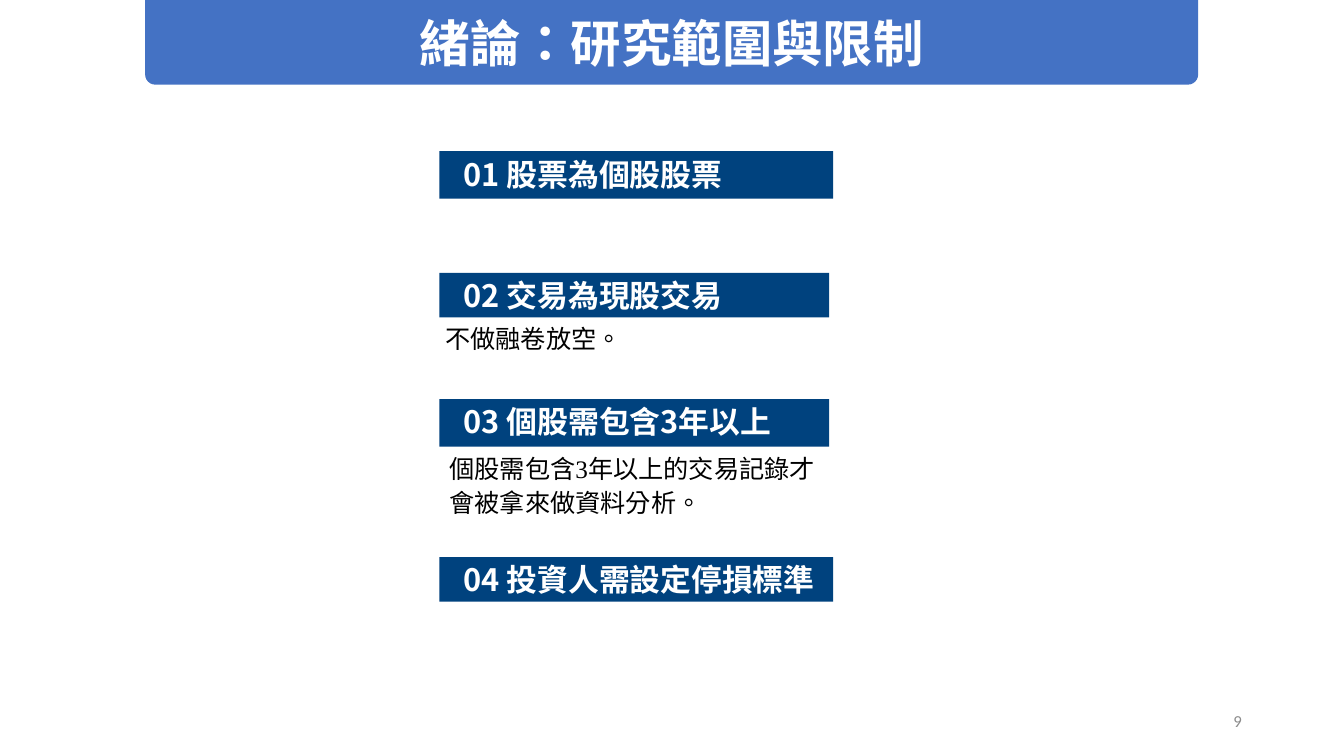
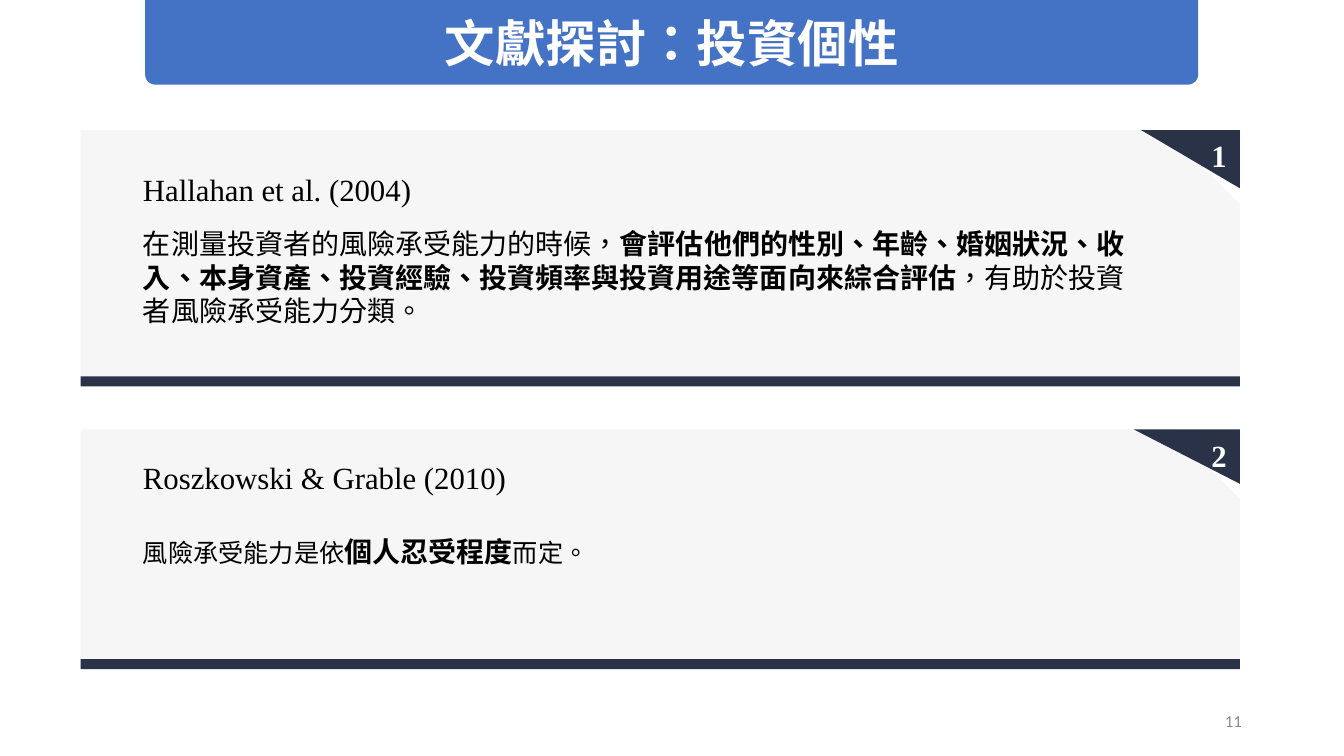
from dataclasses import dataclass

from lxml.etree import SubElement
from pptx import Presentation
from pptx.dml.color import RGBColor
from pptx.enum.lang import MSO_LANGUAGE_ID
from pptx.enum.shapes import MSO_SHAPE
from pptx.enum.text import MSO_ANCHOR, MSO_AUTO_SIZE, PP_ALIGN
from pptx.oxml.ns import qn
from pptx.shapes.autoshape import Shape
from pptx.slide import Slide
from pptx.text.text import Font
from pptx.util import Emu, Inches, Pt

SLIDE_WIDTH, SLIDE_HEIGHT = Inches(13.333), Inches(7.5)
TITLE_BLUE, HEADING_BLUE, NAVY = "4472C4", "00427E", "293247"
PALE, GREY, WHITE, BLACK = "F6F6F6", "8C8C8C", "FFFFFF", "000000"
SANS, SERIF, NUMBER_FONT = "Noto Sans CJK SC", "Times New Roman", "Calibri"


@dataclass(frozen=True)
class Box:
    """A rectangle in percent of the slide's width and height."""
    left: float
    top: float
    width: float
    height: float

    def emu(self) -> tuple[Emu, Emu, Emu, Emu]:
        return (across(self.left), down(self.top),
                across(self.width), down(self.height))


@dataclass(frozen=True)
class TextStyle:
    size: float
    color: str = BLACK
    font: str = SERIF
    bold: bool = False
    align: PP_ALIGN = PP_ALIGN.LEFT
    anchor: MSO_ANCHOR = MSO_ANCHOR.TOP
    line_spacing: float = 1.0


@dataclass(frozen=True)
class Phrase:
    text: str
    size: float
    bold: bool = False


@dataclass(frozen=True)
class Limit:
    heading: str
    box: Box
    note: str = ""
    note_left: float = 32.7
    note_lines: int = 1


@dataclass(frozen=True)
class Study:
    number: str
    source: str
    phrases: tuple[Phrase, ...]
    top: float
    height: float
    source_offset: float
    body_offset: float
    corner_width: float
    corner_height: float


TITLE_BOX = Box(10.8, 0, 78.35, 11.2)
PAGE_BOX = Box(70.65, 92.7, 22.5, 5.3)
CARD_LEFT, CARD_WIDTH, STRIP_HEIGHT = 6, 86.25, 1.3
CARD_TEXT_LEFT, CARD_TEXT_WIDTH = 9.9, 76.4
HEADING_LEFT, NOTE_WIDTH, NOTE_LINE_HEIGHT, NOTE_OVERLAP = 32.7, 29, 5.2, 0.4

TITLE_STYLE = TextStyle(36, WHITE, SANS, True, PP_ALIGN.CENTER, MSO_ANCHOR.MIDDLE)
PAGE_STYLE = TextStyle(12, GREY, NUMBER_FONT, False, PP_ALIGN.RIGHT, MSO_ANCHOR.MIDDLE)
HEADING_STYLE = TextStyle(22, WHITE, SANS, True)
NOTE_STYLE = TextStyle(18, line_spacing=1.14)
SOURCE_STYLE = TextStyle(22)
BODY_STYLE = TextStyle(20)
CORNER_STYLE = TextStyle(22, WHITE, bold=True, align=PP_ALIGN.RIGHT)

LIMITS = (
    Limit("01 股票為個股股票", Box(HEADING_LEFT, 20, 29.3, 6.3)),
    Limit("02 交易為現股交易", Box(HEADING_LEFT, 36.1, 29, 5.9),
          "不做融卷放空。", note_left=32.4),
    Limit("03 個股需包含3年以上", Box(HEADING_LEFT, 52.8, 29, 6.3),
          "個股需包含3年以上的交易記錄才會被拿來做資料分析。", note_lines=2),
    Limit("04 投資人需設定停損標準", Box(HEADING_LEFT, 73.7, 29.3, 5.9)),
)

STUDIES = (
    Study("1", "Hallahan et al. (2004)", (
        Phrase("在測量投資者的風險承受能力的時候，", 20),
        Phrase("會評估他們的性別、年齡、婚姻狀況、收入、本身資產、投資經驗、"
               "投資頻率與投資用途等面向來綜合評估", 20, True),
        Phrase("，有助於投資者風險承受能力分類。", 20),
    ), 17.2, 33.9, 4.7, 12.1, 7.35, 7.7),
    Study("2", "Roszkowski & Grable (2010)", (
        Phrase("風險承受能力是依", 18),
        Phrase("個人忍受程度", 20, True),
        Phrase("而定。", 18),
    ), 56.8, 31.7, 3.2, 13.2, 7.9, 7.2),
)


def across(percent: float) -> Emu:
    return Emu(round(SLIDE_WIDTH * percent / 100))


def down(percent: float) -> Emu:
    return Emu(round(SLIDE_HEIGHT * percent / 100))


def rgb(value: str) -> RGBColor:
    return RGBColor.from_string(value)


def set_font(font: Font, style: TextStyle) -> None:
    font.size, font.bold, font.name = Pt(style.size), style.bold, style.font
    font.color.rgb = rgb(style.color)
    font.language_id = MSO_LANGUAGE_ID.TRADITIONAL_CHINESE
    SubElement(font._element, qn("a:ea"), typeface=SANS)


def write(shape: Shape, style: TextStyle, *phrases: str | Phrase,
          margins: tuple[float, float, float, float] = (0.1, 0.05, 0.1, 0.05)) -> None:
    """Fill a shape with one paragraph; margins are left, top, right, bottom."""
    frame = shape.text_frame
    frame.word_wrap, frame.auto_size = True, MSO_AUTO_SIZE.NONE
    frame.vertical_anchor = style.anchor
    (frame.margin_left, frame.margin_top,
     frame.margin_right, frame.margin_bottom) = map(Inches, margins)
    paragraph = frame.paragraphs[0]
    paragraph.alignment, paragraph.line_spacing = style.align, style.line_spacing
    set_font(paragraph.font, style)
    for phrase in phrases:
        run = paragraph.add_run()
        if isinstance(phrase, Phrase):
            run.text = phrase.text
            run.font.size, run.font.bold = Pt(phrase.size), phrase.bold
        else:
            run.text = phrase


def paint(shape: Shape, color: str) -> Shape:
    shape.shadow.inherit = False
    shape.fill.solid()
    shape.fill.fore_color.rgb = rgb(color)
    shape.line.fill.background()
    return shape


def add_block(slide: Slide, box: Box, color: str,
              kind: MSO_SHAPE = MSO_SHAPE.RECTANGLE) -> Shape:
    return paint(slide.shapes.add_shape(kind, *box.emu()), color)


def add_text(slide: Slide, box: Box, style: TextStyle, *phrases: str | Phrase) -> None:
    write(slide.shapes.add_textbox(*box.emu()), style, *phrases)


def add_titled_slide(presentation: Presentation, title_text: str, page: str) -> Slide:
    slide = presentation.slides.add_slide(
        presentation.slide_layouts.get_by_name("Title Only"))
    title = slide.shapes.title
    title.left, title.top, title.width, title.height = TITLE_BOX.emu()
    write(title, TITLE_STYLE, title_text)
    band = add_block(slide, TITLE_BOX, TITLE_BLUE, MSO_SHAPE.ROUND_2_SAME_RECTANGLE)
    band.adjustments[0], band.adjustments[1] = 0, 0.12
    title._element.addprevious(band._element)
    add_text(slide, PAGE_BOX, PAGE_STYLE, page)
    return slide


def add_limit(slide: Slide, limit: Limit) -> None:
    heading = add_block(slide, limit.box, HEADING_BLUE)
    write(heading, HEADING_STYLE, limit.heading, margins=(0.24, 0.04, 0.07, 0.04))
    if limit.note:
        note_top = limit.box.top + limit.box.height - NOTE_OVERLAP
        add_text(slide, Box(limit.note_left, note_top, NOTE_WIDTH,
                            NOTE_LINE_HEIGHT * limit.note_lines),
                 NOTE_STYLE, limit.note)


def add_corner(slide: Slide, study: Study) -> None:
    """Draw the numbered triangle at the card's top right."""
    right = CARD_LEFT + CARD_WIDTH
    builder = slide.shapes.build_freeform(across(right), down(study.top))
    builder.add_line_segments([
        (across(right - study.corner_width), down(study.top)),
        (across(right), down(study.top + study.corner_height)),
    ])
    corner = paint(builder.convert_to_shape(), NAVY)
    write(corner, CORNER_STYLE, study.number, margins=(0.13, 0.07, 0.13, 0.07))


def add_study(slide: Slide, study: Study) -> None:
    card = add_block(slide, Box(CARD_LEFT, study.top, CARD_WIDTH, study.height),
                     PALE, MSO_SHAPE.SNIP_1_RECTANGLE)
    card.adjustments[0] = 0.29
    strip_top = study.top + study.height - STRIP_HEIGHT
    add_block(slide, Box(CARD_LEFT, strip_top, CARD_WIDTH, STRIP_HEIGHT), NAVY)
    add_corner(slide, study)
    body_top = study.top + study.body_offset
    add_text(slide, Box(CARD_TEXT_LEFT, study.top + study.source_offset,
                        CARD_TEXT_WIDTH, 6.3), SOURCE_STYLE, study.source)
    add_text(slide, Box(CARD_TEXT_LEFT, body_top, CARD_TEXT_WIDTH,
                        strip_top - body_top), BODY_STYLE, *study.phrases)


def main() -> None:
    presentation = Presentation()
    presentation.slide_width, presentation.slide_height = SLIDE_WIDTH, SLIDE_HEIGHT

    scope_slide = add_titled_slide(presentation, "緒論：研究範圍與限制", "9")
    for limit in LIMITS:
        add_limit(scope_slide, limit)

    literature_slide = add_titled_slide(presentation, "文獻探討：投資個性", "11")
    for study in STUDIES:
        add_study(literature_slide, study)

    presentation.save("out.pptx")


if __name__ == "__main__":
    main()
